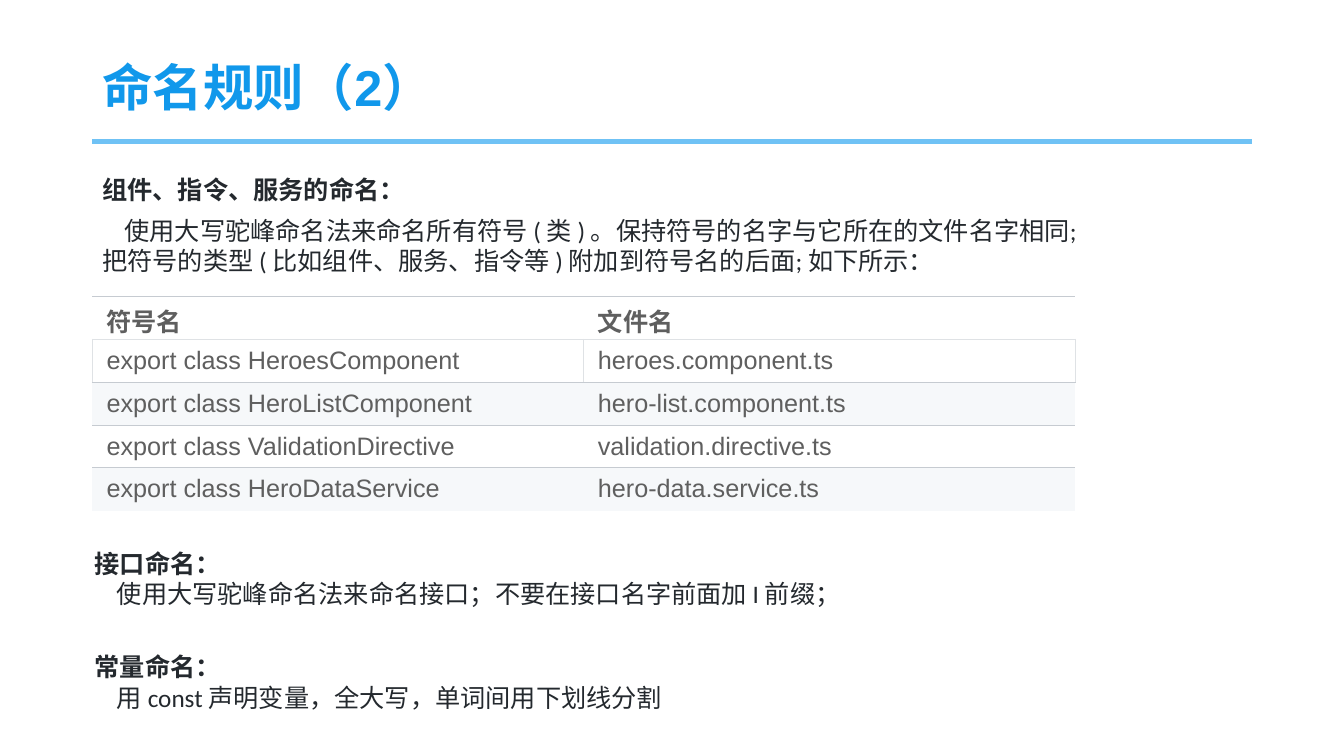
from lxml.etree import SubElement
from pptx import Presentation
from pptx.dml.color import RGBColor
from pptx.enum.shapes import MSO_CONNECTOR
from pptx.enum.text import MSO_ANCHOR, MSO_AUTO_SIZE
from pptx.oxml import parse_xml
from pptx.oxml.ns import nsdecls, qn
from pptx.util import Inches, Pt

COLS, ROWS = 160, 90


def rgb(value):
    return RGBColor.from_string(value)


def apply(target, values):
    for name, value in values.items():
        setattr(target, name, value)


class SlideBuilder:
    TITLE = {"name": "Arial", "size": Pt(36), "bold": True, "color": "1198EB"}
    BODY = {"name": "Calibri", "size": Pt(18), "bold": False, "color": "24292E"}
    HEADING = {**BODY, "bold": True}
    CELL = {"name": "Arial", "size": Pt(18), "bold": False, "color": "5F5F5F"}
    CELL_HEAD = {**CELL, "bold": True}
    INDENT = Inches(0.22)
    DARK, LIGHT = "C6CBD1", "DFE2E5"

    def __init__(self, prs):
        self.prs = prs
        self.slide = prs.slides.add_slide(prs.slide_layouts[6])

    def x(self, cols):
        return round(self.prs.slide_width * cols / COLS)

    def y(self, rows):
        return round(self.prs.slide_height * rows / ROWS)

    def box(self, left, top, width, height):
        return self.x(left), self.y(top), self.x(width), self.y(height)

    def run(self, p, text, style):
        r = p.add_run()
        r.text = text
        apply(r.font, {k: v for k, v in style.items() if k != "color"})
        r.font.color.rgb = rgb(style["color"])

    def text(self, area, lines, indent=0, spacing=None, **frame):
        tf = self.slide.shapes.add_textbox(*self.box(*area)).text_frame
        apply(tf, {"word_wrap": True, "auto_size": MSO_AUTO_SIZE.SHAPE_TO_FIT_TEXT, **frame})
        for i, (text, style) in enumerate(lines):
            p = tf.add_paragraph() if i else tf.paragraphs[0]
            p.line_spacing = spacing
            if style is self.BODY:
                p._p.get_or_add_pPr().set("indent", str(indent))
            self.run(p, text, style)

    def rule(self, left, right, top, color, width):
        line = self.slide.shapes.add_connector(
            MSO_CONNECTOR.STRAIGHT, self.x(left), self.y(top), self.x(right), self.y(top))
        line.line.color.rgb = rgb(color)
        line.line.width = Pt(width)
        SubElement(line._element.spPr, qn("a:effectLst"))

    def borders(self, cell, colors):
        tcPr = cell._tc.get_or_add_tcPr()
        for i, (side, color) in enumerate(zip("LRTB", colors)):
            paint = f'<a:solidFill><a:srgbClr val="{color}"/></a:solidFill>' if color else "<a:noFill/>"
            tcPr.insert(i, parse_xml(f'<a:ln{side} {nsdecls("a")} w="{Pt(0.75)}">{paint}</a:ln{side}>'))

    def table(self, area, data):
        table = self.slide.shapes.add_table(len(data), len(data[0]), *self.box(*area)).table
        edges = [self.DARK, self.LIGHT] + [self.DARK] * (len(data) - 2) + [None]
        layout = {"vertical_anchor": MSO_ANCHOR.MIDDLE,
                  "margin_left": Inches(0.14), "margin_right": Inches(0.14),
                  "margin_top": Inches(0.06), "margin_bottom": Inches(0.06)}
        for i, row in enumerate(data):
            side = self.LIGHT if i == 1 else None
            for j, text in enumerate(row):
                cell = table.cell(i, j)
                apply(cell, layout)
                cell.fill.solid()
                cell.fill.fore_color.rgb = rgb("F6F8FA" if i and i % 2 == 0 else "FFFFFF")
                self.borders(cell, (side, side, edges[i], edges[i + 1]))
                self.run(cell.text_frame.paragraphs[0], text, self.CELL if i else self.CELL_HEAD)


def main():
    prs = Presentation()
    prs.slide_width, prs.slide_height = Inches(13.33), Inches(7.5)
    s = SlideBuilder(prs)

    s.rule(11, 149, 16.8, "6FC2F5", 3.5)
    s.text((11, 4.8, 138, 12), [("命名规则（2）", s.TITLE)], spacing=0.9,
           vertical_anchor=MSO_ANCHOR.MIDDLE, auto_size=MSO_AUTO_SIZE.NONE)
    s.text((11, 20.2, 39, 4.8), [("组件、指令、服务的命名：", s.HEADING)], word_wrap=False)
    s.text((11, 25, 119, 8.5), [
        ("使用大写驼峰命名法来命名所有符号 ( 类 ) 。保持符号的名字与它所在的文件名字相同; "
         "把符号的类型 ( 比如组件、服务、指令等 ) 附加到符号名的后面; 如下所示：", s.BODY),
    ], indent=s.INDENT)
    s.table((11, 35.3, 117, 25.5), [
        ("符号名", "文件名"),
        ("export class HeroesComponent", "heroes.component.ts"),
        ("export class HeroListComponent", "hero-list.component.ts"),
        ("export class ValidationDirective", "validation.directive.ts"),
        ("export class HeroDataService", "hero-data.service.ts"),
    ])
    s.text((10.1, 64.7, 101, 8.5), [
        ("接口命名：", s.HEADING),
        ("使用大写驼峰命名法来命名接口；不要在接口名字前面加 I 前缀；", s.BODY),
    ], indent=s.INDENT)
    s.text((10.1, 77, 76.7, 8.5), [
        ("常量命名：", s.HEADING),
        ("用 const 声明变量，全大写，单词间用下划线分割", s.BODY),
    ], indent=s.INDENT, word_wrap=False)

    prs.save("out.pptx")


if __name__ == "__main__":
    main()
